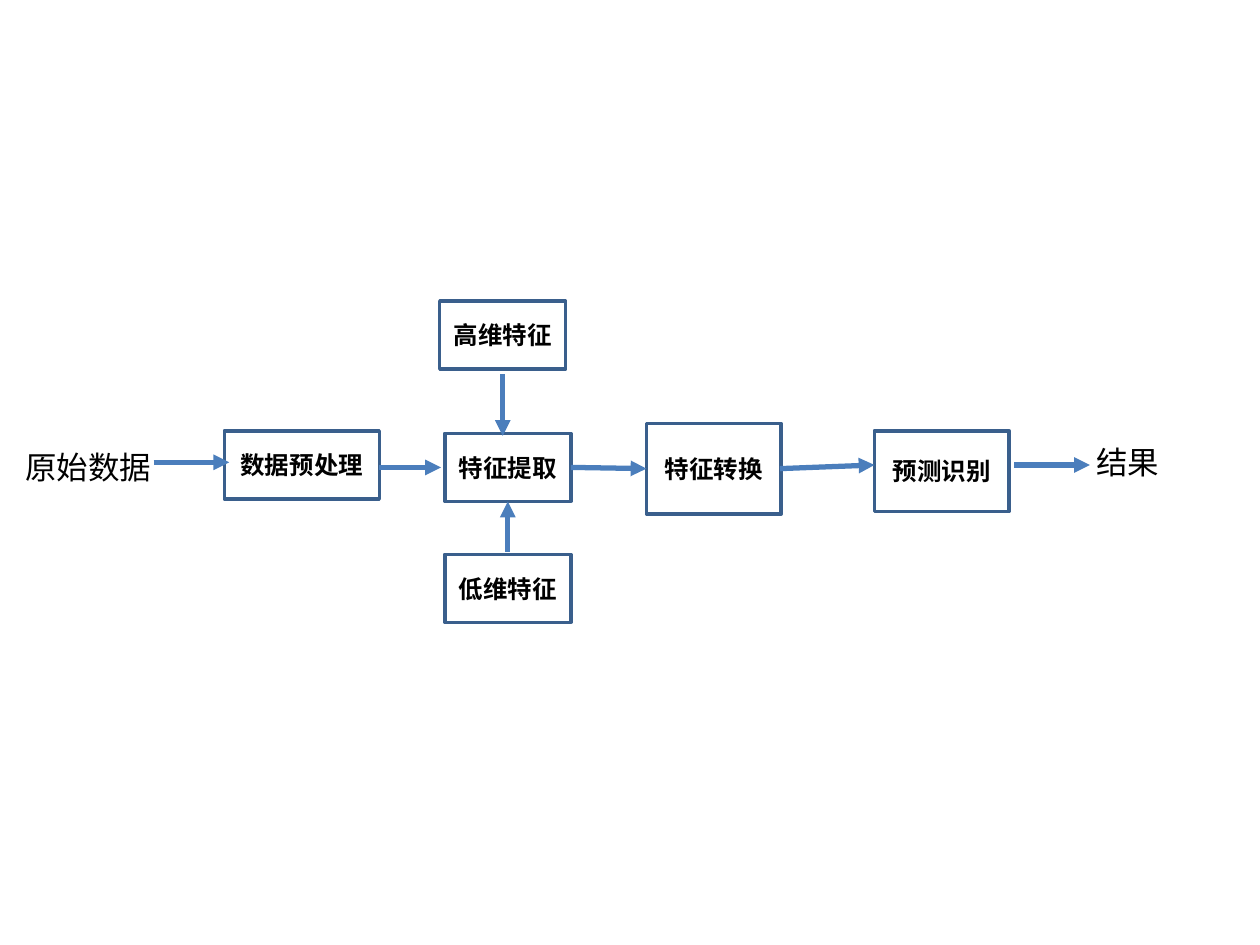
"""Builds a flow chart slide of feature extraction and recognition."""
from pptx import Presentation
from pptx.dml.color import RGBColor
from pptx.enum.shapes import MSO_CONNECTOR, MSO_SHAPE
from pptx.enum.text import MSO_ANCHOR, MSO_AUTO_SIZE, PP_ALIGN
from pptx.oxml.ns import qn
from pptx.util import Pt
from lxml.etree import SubElement

FONT = "Calibri"
COLORS = {"text": "000000", "edge": "3A5F8C", "arrow": "4B7EBC"}

STEPS = [
    ("数据预处理", 128.2, 246.2, 88.6, 38.9),
    ("特征提取", 254.2, 247.7, 72, 38.9),
    ("特征转换", 369.4, 241.9, 77, 51.8),
    ("预测识别", 499.7, 246.2, 77, 46.1),
    ("高维特征", 251.3, 172.1, 72, 38.9),
    ("低维特征", 254.2, 316.8, 72, 38.9),
]
ENDS = [
    ("原始数据", 7.2, 252.7, 87.1, 28.8),
    ("结果", 619.2, 249.8, 51.1, 28.8),
]
ARROWS = [
    (87.8, 264.2, 131, 264.2),
    (216.7, 267.1, 252, 267.1),
    (326.2, 267.1, 369.4, 267.8),
    (445.7, 267.8, 499.7, 265.7),
    (579.6, 265.7, 622.8, 265.7),
    (287.3, 213.8, 287.3, 249.1),
    (290.2, 315.4, 290.2, 286.6),
]


def color(name):
    return RGBColor.from_string(COLORS[name])


def write(frame, text, size=14, bold=False, align=PP_ALIGN.LEFT,
          anchor=MSO_ANCHOR.TOP, wrap=True):
    frame.word_wrap = wrap
    frame.vertical_anchor = anchor
    par = frame.paragraphs[0]
    par.alignment = align
    run = par.add_run()
    run.text = text
    run.font.name = FONT
    run.font.size = Pt(size)
    run.font.bold = bold
    run.font.color.rgb = color("text")


def add_step(shapes, text, *place):
    box = shapes.add_shape(MSO_SHAPE.RECTANGLE, *map(Pt, place))
    box.shadow.inherit = False
    box.fill.background()
    box.line.color.rgb = color("edge")
    box.line.width = Pt(2)
    write(box.text_frame, text, bold=True, align=PP_ALIGN.CENTER,
          anchor=MSO_ANCHOR.MIDDLE)


def add_end(shapes, text, *place):
    frame = shapes.add_textbox(*map(Pt, place)).text_frame
    write(frame, text, size=18, wrap=False)
    frame.auto_size = MSO_AUTO_SIZE.SHAPE_TO_FIT_TEXT


def add_arrow(shapes, *points):
    arrow = shapes.add_connector(MSO_CONNECTOR.STRAIGHT, *map(Pt, points))
    arrow.line.color.rgb = color("arrow")
    arrow.line.width = Pt(3)
    SubElement(arrow.line._get_or_add_ln(), qn("a:tailEnd"), type="triangle")
    SubElement(arrow._element.spPr, qn("a:effectLst"))


def main():
    deck = Presentation()
    deck.slide_width, deck.slide_height = Pt(720), Pt(540)
    shapes = deck.slides.add_slide(deck.slide_layouts[6]).shapes
    for step in STEPS:
        add_step(shapes, *step)
    for end in ENDS:
        add_end(shapes, *end)
    for points in ARROWS:
        add_arrow(shapes, *points)
    deck.save("out.pptx")


if __name__ == "__main__":
    main()
